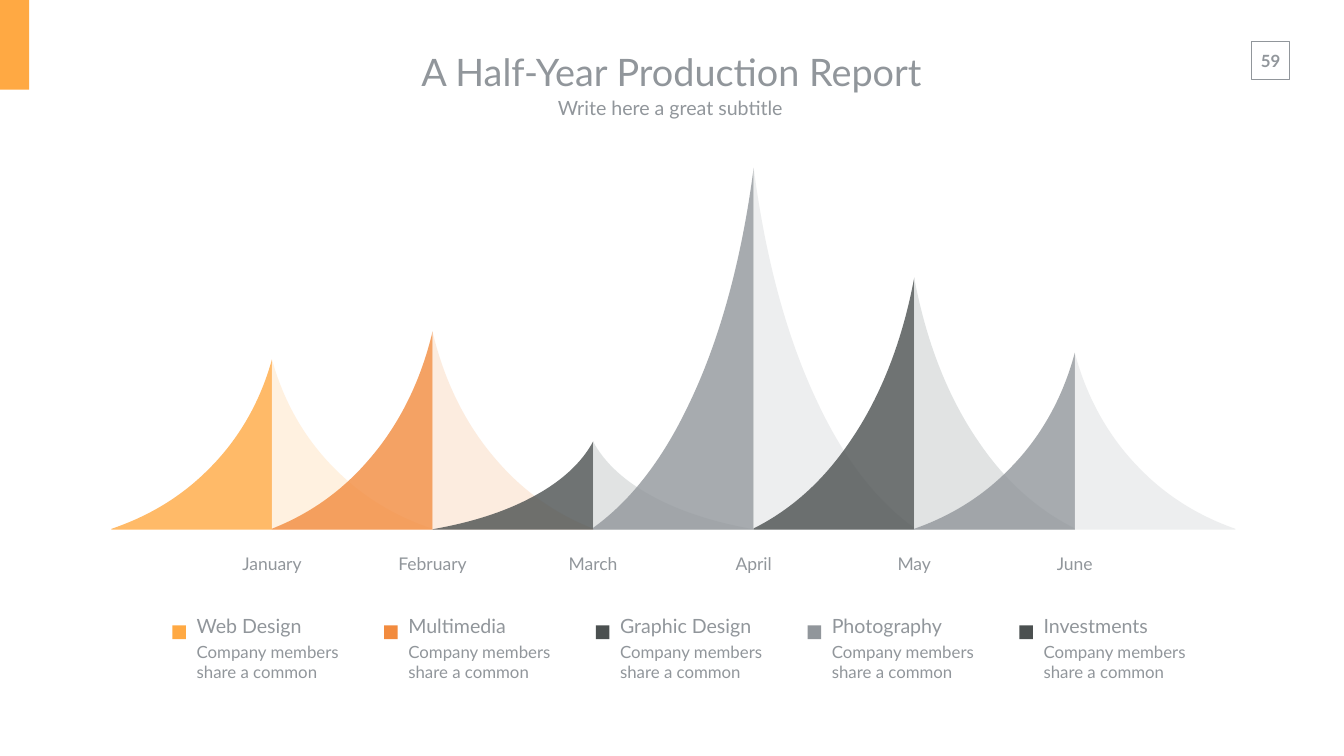
from lxml import etree
from pptx import Presentation, util as u
from pptx.dml.color import RGBColor
from pptx.enum import shapes, text
from pptx.oxml.ns import qn

WIDTH, HEIGHT = 26.66, 15
FONT = "Lato"
ORANGE, CORAL, DARK, GRAY = "FFA943", "F28B3E", "4B5050", "91969B"
TINTS = {ORANGE: "FFEED9", CORAL: "FCE8D8", DARK: "DADDDD", GRAY: "E9EAEB"}

# Chart grid: one column per month, all peaks standing on one baseline
CHART_LEFT, COLUMN, BASELINE = 2.21, 3.185, 10.51
MONTHS = [("January", 3.38, ORANGE), ("February", 3.93, CORAL),
          ("March", 1.75, DARK), ("April", 7.18, GRAY),
          ("May", 5, DARK), ("June", 3.51, GRAY)]

# Two Bezier segments from the tip to the foot, as shares of column and height
SLOPE = [(0.07, 0.24), (0.2, 0.465), (0.4, 0.65),
         (0.575, 0.815), (0.78, 0.925), (1, 0.995)]

LEGEND_LEFT, LEGEND_TOP, LEGEND_STEP = 3.42, 12.06, 4.2
LEGEND = [("Web Design", ORANGE), ("Multimedia", CORAL),
          ("Graphic Design", DARK), ("Photography", GRAY),
          ("Investments", DARK)]
LEGEND_NOTE = "Company members share a common"


def color(hex_code):
    return RGBColor.from_string(hex_code)


def box(left, top, width, height):
    return [u.Inches(v) for v in (left, top, width, height)]


def write(shape, lines, align=text.PP_ALIGN.CENTER, inset=(0, 0),
          anchor=text.MSO_ANCHOR.MIDDLE, bold=False):
    """Fill a shape with (wording, size) lines in the slide's text style."""
    frame = shape.text_frame
    frame.text = "\n".join(wording for wording, _ in lines)
    frame.word_wrap = True
    frame.auto_size = text.MSO_AUTO_SIZE.NONE
    frame.vertical_anchor = anchor
    frame.margin_left = frame.margin_right = u.Inches(inset[0])
    frame.margin_top = frame.margin_bottom = u.Inches(inset[1])
    for index, (paragraph, (_, size)) in enumerate(zip(frame.paragraphs, lines)):
        paragraph.alignment = align
        paragraph.space_before = u.Pt(0.2 * size if index else 0)
        for run in paragraph.runs:
            run.font.name = FONT
            run.font.size = u.Pt(size)
            run.font.bold = bold
            run.font.color.rgb = color(GRAY)


def add_text(slide, area, lines, **style):
    write(slide.shapes.add_textbox(*box(*area)), lines, **style)


def add_rect(slide, area, fill=None, line=None):
    rect = slide.shapes.add_shape(shapes.MSO_SHAPE.RECTANGLE, *box(*area))
    rect.shadow.inherit = False
    if fill:
        rect.fill.solid()
        rect.fill.fore_color.rgb = color(fill)
    else:
        rect.fill.background()
    if line:
        rect.line.color.rgb = color(line)
        rect.line.width = u.Pt(1)
    else:
        rect.line.fill.background()


def curve_slope(shape):
    """Turn each three of the slope's line points into one Bezier segment."""
    outline = shape._element.find(".//" + qn("a:path"))
    lines = outline.findall(qn("a:lnTo"))[:len(SLOPE)]
    for start in range(0, len(SLOPE), 3):
        curve = etree.Element(qn("a:cubicBezTo"))
        lines[start].addprevious(curve)
        for line in lines[start:start + 3]:
            curve.append(line[0])
            outline.remove(line)


def add_half_peak(slide, center, height, direction, fill):
    def point(across, down):
        return (u.Inches(center + direction * across * COLUMN),
                u.Inches(BASELINE - height * (1 - down)))

    builder = slide.shapes.build_freeform(*point(0, 0))
    builder.add_line_segments(
        [point(*share) for share in SLOPE + [(1, 1), (0, 1)]], close=True)
    half = builder.convert_to_shape()
    curve_slope(half)
    half.shadow.inherit = False
    half.line.fill.background()
    half.fill.solid()
    half.fill.fore_color.rgb = color(fill)
    tone = half._element.spPr.find(qn("a:solidFill"))[0]
    etree.SubElement(tone, qn("a:alpha"), val="80000")


def add_month(slide, index, name, height, fill):
    center = CHART_LEFT + COLUMN * (index + 1)
    add_half_peak(slide, center, height, -1, fill)
    add_half_peak(slide, center, height, 1, TINTS[fill])
    add_text(slide, (center - 0.93, 10.78, 1.86, 0.82), [(name, 25)])


def add_legend_entry(slide, index, name, fill):
    left = LEGEND_LEFT + LEGEND_STEP * index
    add_rect(slide, (left, LEGEND_TOP + 0.35, 0.27, 0.27), fill)
    add_text(slide, (left + 0.21, LEGEND_TOP, 3.92, 1.97),
             [(name, 28), (LEGEND_NOTE, 24)], align=text.PP_ALIGN.LEFT,
             inset=(0.27, 0.13), anchor=text.MSO_ANCHOR.TOP)


def add_header(slide):
    # Page number and corner tab
    add_text(slide, (24.8, 0.9, 0.81, 0.61), [("59", 24)], bold=True,
             inset=(0.1, 0.1), anchor=text.MSO_ANCHOR.TOP)
    add_rect(slide, (24.83, 0.82, 0.75, 0.75), line=GRAY)
    add_rect(slide, (0, 0, 0.58, 1.78), ORANGE)

    # Title and subtitle
    title = slide.shapes.title
    title.left, title.top, title.width, title.height = box(5.76, 0.83, 15.12, 1.18)
    write(title, [("A Half-Year Production Report", 54)], inset=(0.27, 0.13))
    add_text(slide, (8.13, 1.76, 10.33, 0.74),
             [("Write here a great subtitle", 28)], inset=(0.27, 0.13))


def main():
    deck = Presentation()
    deck.slide_width, deck.slide_height = u.Inches(WIDTH), u.Inches(HEIGHT)
    slide = deck.slides.add_slide(deck.slide_layouts[5])
    add_header(slide)
    for index, month in enumerate(MONTHS):
        add_month(slide, index, *month)
    for index, entry in enumerate(LEGEND):
        add_legend_entry(slide, index, *entry)
    deck.save("out.pptx")


if __name__ == "__main__":
    main()
